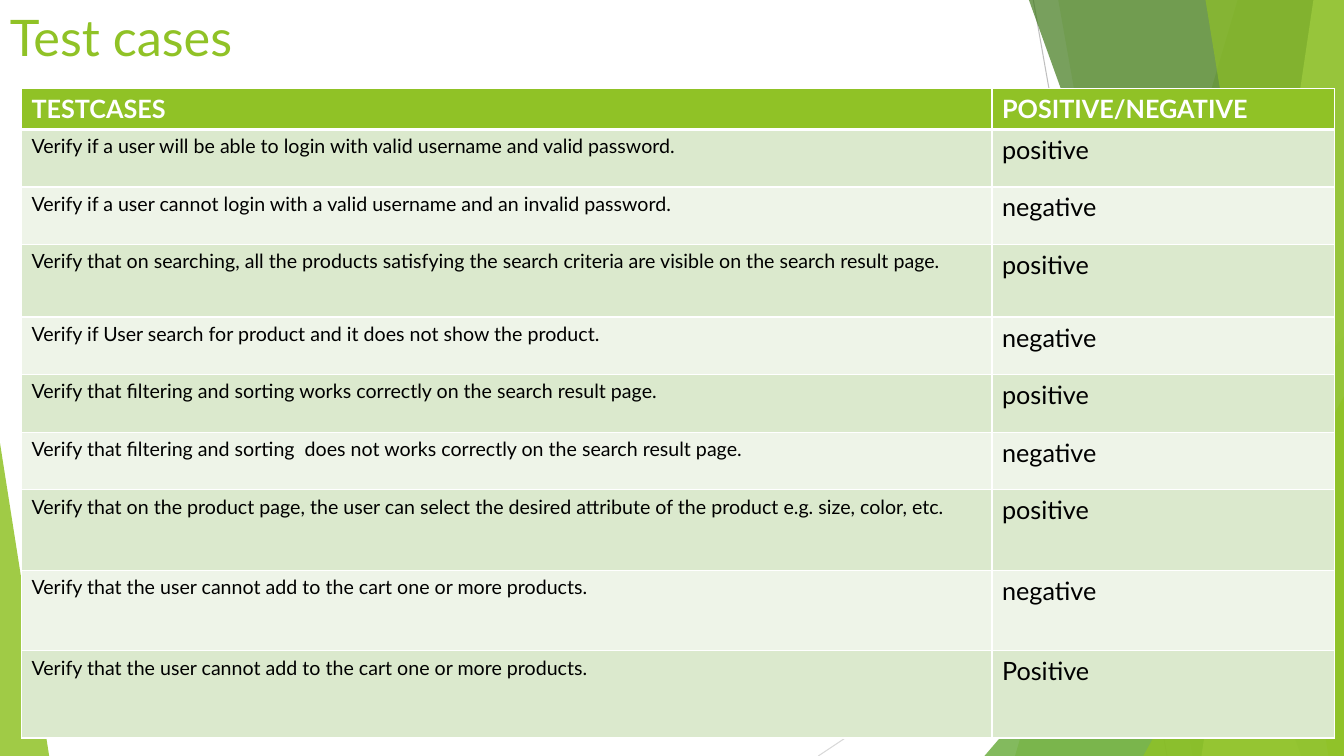
import pptx
import pptx.util
import pptx.dml.color
import pptx.enum.shapes
import pptx.enum.text
import pptx.oxml
import pptx.oxml.ns

Cm = pptx.util.Cm
Pt = pptx.util.Pt
RGB = pptx.dml.color.RGBColor
KIND = pptx.enum.shapes.MSO_SHAPE
MID = pptx.enum.text.MSO_ANCHOR.MIDDLE
NS = pptx.oxml.ns.nsdecls("a")

LIME = RGB(0x90, 0xC2, 0x26)
LEAF = RGB(0x54, 0xA0, 0x21)
MOSS = RGB(0x3F, 0x78, 0x19)
PALE = RGB(0xC0, 0xE4, 0x74)
MINT = RGB(0xDB, 0xE9, 0xCD)
MIST = RGB(0xEE, 0xF4, 0xE8)
GREY = RGB(0xBF, 0xBF, 0xBF)
SILVER = RGB(0xD9, 0xD9, 0xD9)
WHITE = RGB(0xFF, 0xFF, 0xFF)
BLACK = RGB(0, 0, 0)

WIDE, HIGH = 33.87, 19.05
RAYS = [(26.04, 0, 29.41, HIGH, GREY), (WIDE, 10.24, 20.62, HIGH, SILVER)]
SHARDS = [
    ("band", 31.19, 25.58, LIME, 30),
    ("band", 26.67, 30.05, LIME, 20),
    ("peak", 24.81, 8.47, LEAF, 72),
    ("band", 25.93, 32.79, MOSS, 70),
    ("band", 33.1, 30.28, PALE, 70),
    ("band", 30.38, 33.48, LIME, 65),
    ("peak", 28.81, 9.99, LIME, 80),
]
HEAD = ("TESTCASES", "POSITIVE/NEGATIVE")
CASES = [
    ("Verify if a user will be able to login with valid username and valid password.", "positive", 1.45),
    ("Verify if a user cannot login with a valid username and an invalid password.", "negative", 1.45),
    ("Verify that on searching, all the products satisfying the search criteria are visible on the search result page.", "positive", 1.83),
    ("Verify if User search for product and it does not show the product.", "negative", 1.45),
    ("Verify that filtering and sorting works correctly on the search result page.", "positive", 1.45),
    ("Verify that filtering and sorting  does not works correctly on the search result page.", "negative", 1.45),
    ("Verify that on the product page, the user can select the desired attribute of the product e.g. size, color, etc.", "positive", 2.03),
    ("Verify that the user cannot add to the cart one or more products.", "negative", 2.03),
    ("Verify that the user cannot add to the cart one or more products.", "Positive", 2.2),
]
BASE = {"name": "Lato", "bold": False}


def write(frame, text, tint, **more):
    """Put one styled run of text in a frame."""
    run = frame.paragraphs[0].add_run()
    run.text = text
    for key, val in {**BASE, **more}.items():
        setattr(run.font, key, val)
    run.font.color.rgb = tint


def paint(shape, tint, alpha):
    """Fill a shape with a see-through colour and no outline."""
    shape.shadow.inherit = False
    shape.line.fill.background()
    shape.fill.solid()
    shape.fill.fore_color.rgb = tint
    node = shape.fill._xPr.find(".//" + pptx.oxml.ns.qn("a:srgbClr"))
    node.append(pptx.oxml.parse_xml(f'<a:alpha {NS} val="{alpha * 1000}"/>'))


def band(slide, box, top, foot):
    """Draw a slanted band that runs to the right edge of the box."""
    x, y, w, h = box
    pen = slide.shapes.build_freeform(Cm(x + top), Cm(y), scale=1.0)
    edge = [(w, 0), (w, h), (foot, h)]
    pen.add_line_segments([(Cm(x + a), Cm(y + b)) for a, b in edge], close=True)
    return pen.convert_to_shape()


def peak(slide, box, left, top, wide, tip):
    """Draw a right triangle that stands on the foot of the box."""
    x, y, w, h = box
    shape = slide.shapes.add_shape(KIND.ISOSCELES_TRIANGLE, Cm(x + left),
                                   Cm(y + top), Cm(wide), Cm(h - top))
    shape.adjustments[0] = tip
    return shape


def decor(slide, box):
    """Place the thin rays and the green shards."""
    x, y, w, h = box
    for ax, ay, bx, by, tint in RAYS:
        ray = slide.shapes.add_connector(
            pptx.enum.shapes.MSO_CONNECTOR.STRAIGHT,
            Cm(x + ax), Cm(y + ay), Cm(x + bx), Cm(y + by))
        ray.line.color.rgb = tint
        ray.line.width = Pt(0.75)
        ray._element.spPr.append(pptx.oxml.parse_xml(f"<a:effectLst {NS}/>"))
    for kind, a, b, tint, alpha in SHARDS:
        if kind == "band":
            shard = band(slide, box, a, b)
        else:
            shard = peak(slide, box, a, b, w - a, 1)
        paint(shard, tint, alpha)
    paint(peak(slide, box, 0, 11.16, 1.24, 0), LIME, 85)


def title(slide, box):
    """Place the slide title."""
    frame = slide.shapes.add_textbox(*map(Cm, box)).text_frame
    for key, val in {"word_wrap": True, "vertical_anchor": MID}.items():
        setattr(frame, key, val)
    write(frame, "Test cases", LIME, size=Pt(36))


def edges(cell, row):
    """Give a cell white borders, with a thick one under the header."""
    thick = {"L": 1, "R": 1, "T": 3 if row == 1 else 1, "B": 3 if row == 0 else 1}
    props = cell._tc.get_or_add_tcPr()
    for side, size in thick.items():
        props.append(pptx.oxml.parse_xml(
            f'<a:ln{side} {NS} w="{Pt(size)}"><a:solidFill>'
            f'<a:srgbClr val="{WHITE}"/></a:solidFill></a:ln{side}>'))


def grid(slide, box):
    """Place the table of test cases."""
    x, y, w, h = box
    rows = [(*HEAD, 1.02)] + CASES
    table = slide.shapes.add_table(len(rows), 2, *map(Cm, box)).table
    for col, wide in zip(table.columns, (24.46, w - 24.46)):
        col.width = Cm(wide)
    for r, (case, sort, tall) in enumerate(rows):
        table.rows[r].height = Cm(tall)
        for c, text in enumerate((case, sort)):
            cell = table.cell(r, c)
            edges(cell, r)
            cell.fill.solid()
            cell.fill.fore_color.rgb = LIME if r == 0 else (MIST, MINT)[r % 2]
            size = Pt(14 if r and c == 0 else 18)
            write(cell.text_frame, text, BLACK if r else WHITE, size=size, bold=r == 0)


def main():
    """Build the slide and save it."""
    deck = pptx.Presentation()
    deck.slide_width, deck.slide_height = Cm(WIDE), Cm(HIGH)
    slide = deck.slides.add_slide(deck.slide_layouts[6])
    decor(slide, (0, 0, WIDE, HIGH))
    title(slide, (0, 0, 22.58, 1.83))
    grid(slide, (0.54, 2.24, 33.1, 16.36))
    deck.save("out.pptx")


if __name__ == "__main__":
    main()
